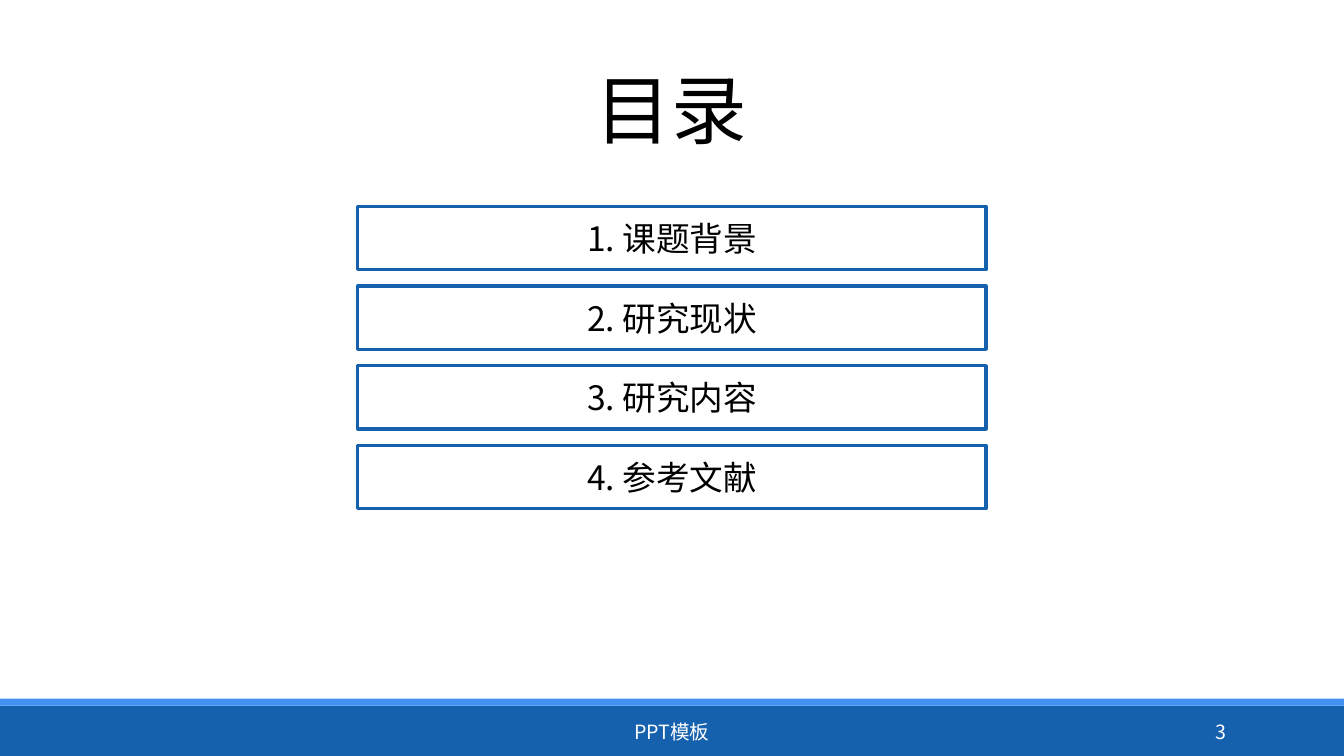
from dataclasses import dataclass

from lxml.etree import SubElement
from pptx import Presentation
from pptx.dml.color import RGBColor
from pptx.enum.shapes import MSO_SHAPE as Shape
from pptx.enum.text import MSO_ANCHOR as Anchor, PP_ALIGN as Align
from pptx.oxml.ns import qn
from pptx.util import Inches, Pt

FONT = "Noto Sans CJK SC"
BLUE, LIGHT_BLUE, WHITE, BLACK = "1561AD", "4392F1", "FFFFFF", "000000"


@dataclass
class Box:
    """Place and size in percent of the slide's width and height."""
    x: float
    y: float
    w: float
    h: float


prs = Presentation()
prs.slide_width, prs.slide_height = Inches(13.33), Inches(7.5)
s = prs.slides.add_slide(prs.slide_layouts[6])


def color(value: str) -> RGBColor:
    return RGBColor.from_string(value)


def place(box: Box) -> tuple[int, int, int, int]:
    w, h = prs.slide_width / 100, prs.slide_height / 100
    return round(box.x * w), round(box.y * h), round(box.w * w), round(box.h * h)


def add_rect(box: Box, fill: str, line: str | None = None):
    sp = s.shapes.add_shape(Shape.RECTANGLE, *place(box))
    sp.shadow.inherit = False
    sp.fill.solid()
    sp.fill.fore_color.rgb = color(fill)
    if line:
        sp.line.color.rgb = color(line)
        sp.line.width = Pt(2.25)
    else:
        sp.line.fill.background()
    return sp


def write(sp, text: str, *, size: float, ink: str = BLACK, align=Align.CENTER,
          anchor=Anchor.MIDDLE, spacing: float = 1.0) -> None:
    tf = sp.text_frame
    tf.word_wrap = True
    tf.vertical_anchor = anchor
    p = tf.paragraphs[0]
    p.alignment, p.line_spacing = align, spacing
    r = p.add_run()
    r.text = text
    r.font.name, r.font.size = FONT, Pt(size)
    r.font.color.rgb = color(ink)
    SubElement(r.font._element, qn("a:ea"), typeface=FONT)


def add_text(box: Box, text: str, **style) -> None:
    write(s.shapes.add_textbox(*place(box)), text, **style)


# Footer bands
add_rect(Box(0, 93.33, 100, 6.67), BLUE)
add_rect(Box(0, 92.4, 100, 0.93), LIGHT_BLUE)

# Title
add_text(Box(8.7, 9.07, 82.5, 13.47), "目录", size=54, anchor=Anchor.TOP, spacing=0.9)

# Footer text and slide number
add_text(Box(30.23, 94.13, 39.53, 5.33), "PPT模板", size=14, ink=WHITE)
add_text(Box(81.25, 94.13, 10.73, 5.33), "3", size=14, ink=WHITE, align=Align.RIGHT)

# Contents list
TOPICS = ["课题背景", "研究现状", "研究内容", "参考文献"]
FIRST_TOP, STEP = 27.3, 10.53
for i, topic in enumerate(TOPICS):
    entry = add_rect(Box(26.63, FIRST_TOP + i * STEP, 46.74, 8.4), WHITE, BLUE)
    write(entry, f"{i + 1}. {topic}", size=24)

prs.save("out.pptx")
